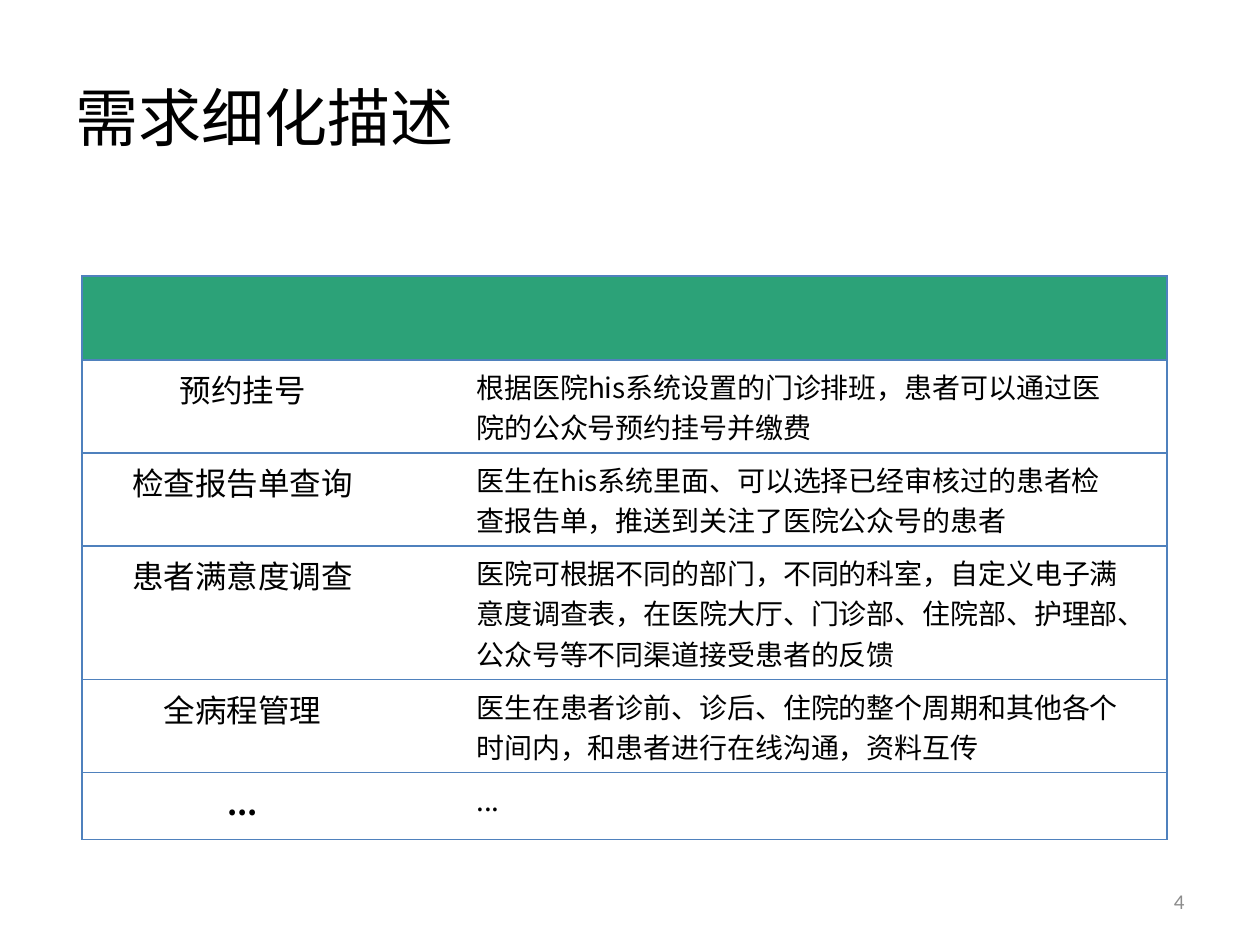
from typing import NamedTuple

from lxml import etree
from pptx import Presentation
from pptx import util as u
from pptx.dml.color import RGBColor
from pptx.enum import text
from pptx.oxml import ns

CJK = "Noto Sans CJK SC"
BLACK, WHITE, GREEN, BLUE, GREY = "000000", "FFFFFF", "2CA278", "4F81BD", "8C8C8C"
COLUMN_WIDTHS = [183.6, 17.3, 17.3, 384.5, 17.3]
NAME_COLUMN, DETAIL_COLUMN = 0, 3


class Style(NamedTuple):
    size: float
    face: str = CJK
    colour: str = BLACK
    align: text.PP_ALIGN = text.PP_ALIGN.LEFT
    bold: bool = False


class Label(NamedTuple):
    words: str
    left: float
    top: float
    width: float
    height: float
    style: Style


class Requirement(NamedTuple):
    name: str
    detail: str
    height: float
    bold: bool = False


LABELS = [
    Label("需求细化描述", 36, 21.6, 648, 90, Style(36)),
    Label("4", 590.4, 500.4, 93.6, 28.8,
          Style(12, "Calibri", GREY, text.PP_ALIGN.RIGHT)),
]

REQUIREMENTS = [
    Requirement("", "", 48),
    Requirement("预约挂号", "根据医院his系统设置的门诊排班，患者可以通过医院的公众号预约挂号并缴费", 53.2),
    Requirement("检查报告单查询",
                "医生在his系统里面、可以选择已经审核过的患者检查报告单，推送到关注了医院公众号的患者", 53.2),
    Requirement("患者满意度调查",
                "医院可根据不同的部门，不同的科室，自定义电子满意度调查表，"
                "在医院大厅、门诊部、住院部、护理部、公众号等不同渠道接受患者的反馈", 76.4),
    Requirement("全病程管理",
                "医生在患者诊前、诊后、住院的整个周期和其他各个时间内，和患者进行在线沟通，资料互传", 53.2),
    Requirement("...", "...", 38.2, True),
]


def paint(colour_format, colour: str) -> None:
    colour_format.rgb = RGBColor.from_string(colour)


def write(frame, words: str, style: Style) -> None:
    paragraph = frame.paragraphs[0]
    paragraph.text = words
    paragraph.alignment = style.align
    font = paragraph.font
    font.size, font.bold, font.name = u.Pt(style.size), style.bold, style.face
    paint(font.fill.fore_color if font.fill.type else font.color, style.colour)
    defaults = paragraph._p.pPr.find(ns.qn("a:defRPr"))
    etree.SubElement(defaults, ns.qn("a:ea"), typeface=style.face)


def add_label(slide, label: Label) -> None:
    box = slide.shapes.add_textbox(
        *map(u.Pt, (label.left, label.top, label.width, label.height)))
    box.text_frame.word_wrap = True
    box.text_frame.vertical_anchor = text.MSO_ANCHOR.MIDDLE
    write(box.text_frame, label.words, label.style)


def set_borders(cell, visible: set[str]) -> None:
    properties = cell._tc.get_or_add_tcPr()
    for position, side in enumerate(("lnL", "lnR", "lnT", "lnB")):
        line = etree.Element(ns.qn(f"a:{side}"), w=str(u.Pt(1)))
        if side in visible:
            fill = etree.SubElement(line, ns.qn("a:solidFill"))
            etree.SubElement(fill, ns.qn("a:srgbClr"), val=BLUE)
        else:
            etree.SubElement(line, ns.qn("a:noFill"))
        properties.insert(position, line)


def add_requirements(slide, left: float, top: float) -> None:
    heights = [requirement.height for requirement in REQUIREMENTS]
    grid = slide.shapes.add_table(
        len(heights), len(COLUMN_WIDTHS), u.Pt(left), u.Pt(top),
        u.Pt(sum(COLUMN_WIDTHS)), u.Pt(sum(heights))).table
    grid.first_row = grid.horz_banding = False
    for column, width in zip(grid.columns, COLUMN_WIDTHS):
        column.width = u.Pt(width)

    last_column = len(COLUMN_WIDTHS) - 1
    for index, requirement in enumerate(REQUIREMENTS):
        row = grid.rows[index]
        row.height = u.Pt(requirement.height)
        for column, cell in enumerate(row.cells):
            cell.fill.solid()
            paint(cell.fill.fore_color, WHITE if index else GREEN)
            sides = {"lnT", "lnB"}
            if column == 0:
                sides.add("lnL")
            if column == last_column:
                sides.add("lnR")
            set_borders(cell, sides)
        if requirement.name:
            write(row.cells[NAME_COLUMN].text_frame, requirement.name,
                  Style(18, align=text.PP_ALIGN.CENTER, bold=requirement.bold))
            write(row.cells[DETAIL_COLUMN].text_frame, requirement.detail, Style(16))


def main() -> None:
    deck = Presentation()
    deck.slide_width, deck.slide_height = u.Pt(720), u.Pt(540)
    slide = deck.slides.add_slide(deck.slide_layouts[6])
    for label in LABELS:
        add_label(slide, label)
    add_requirements(slide, 46.8, 157.6)
    deck.save("out.pptx")


if __name__ == "__main__":
    main()
